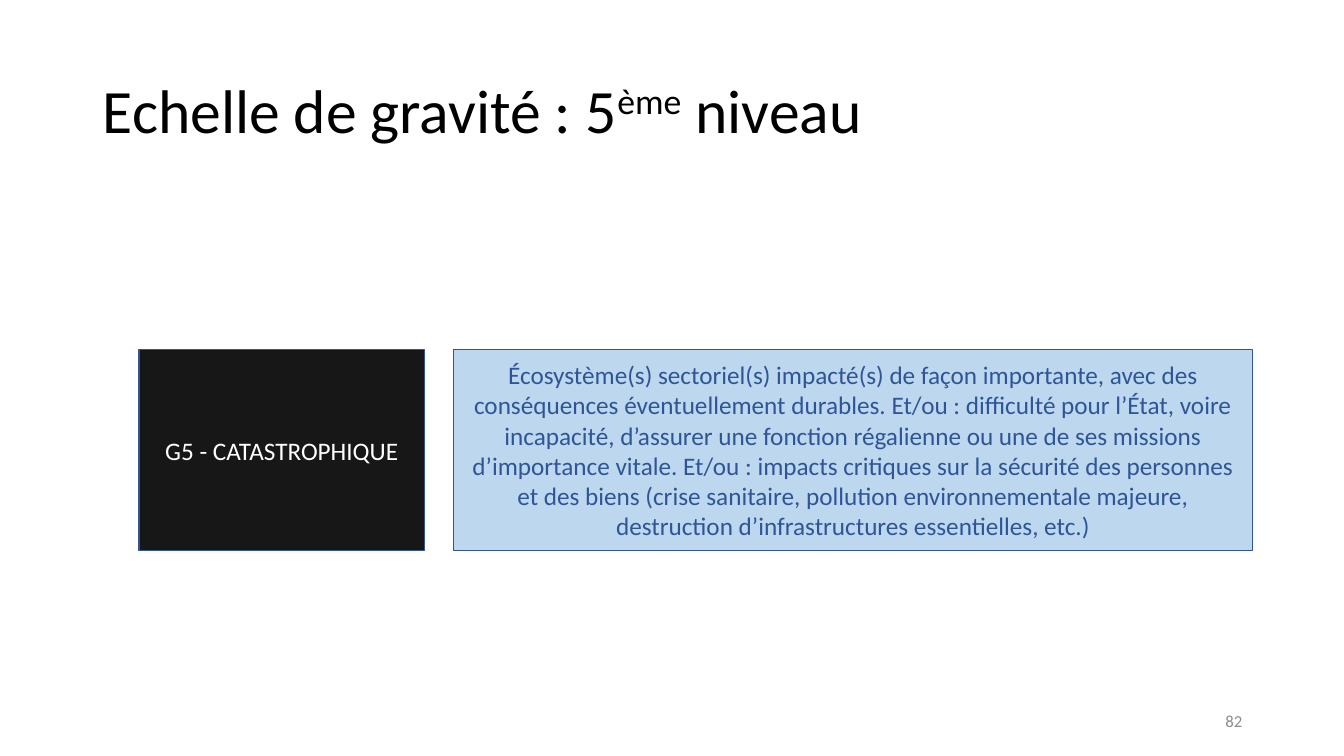
import dataclasses

import pptx
import pptx.dml.color
import pptx.enum.shapes
import pptx.enum.text
import pptx.util

Inches = pptx.util.Inches
Align = pptx.enum.text.PP_ALIGN


@dataclasses.dataclass(frozen=True)
class Theme:
    """Colours, font and type sizes of the slide."""
    font: str = "Calibri"
    title: str = "000000"
    level_fill: str = "181717"
    level_text: str = "FFFFFF"
    impact_fill: str = "BDD7EE"
    impact_text: str = "2F5597"
    outline: str = "325491"
    number: str = "8C8C8C"
    title_size: int = 44
    body_size: int = 18
    number_size: int = 12


THEME = Theme()
IMPACT = (
    "Écosystème(s) sectoriel(s) impacté(s) de façon importante, avec des "
    "conséquences éventuellement durables. Et/ou : difficulté pour l’État, "
    "voire incapacité, d’assurer une fonction régalienne ou une de ses "
    "missions d’importance vitale. Et/ou : impacts critiques sur la sécurité "
    "des personnes et des biens (crise sanitaire, pollution environnementale "
    "majeure, destruction d’infrastructures essentielles, etc.)"
)


def colour(value):
    """Return the colour for a hexadecimal value."""
    return pptx.dml.color.RGBColor.from_string(value)


def add_span(para, text, size, value):
    """Append a formatted run to a paragraph and return it."""
    span = para.add_run()
    span.text = text
    span.font.name = THEME.font
    span.font.size = pptx.util.Pt(size)
    span.font.color.rgb = colour(value)
    return span


def prepare_frame(shape, alignment):
    """Wrap and centre the text vertically, and return its first paragraph."""
    frame = shape.text_frame
    frame.word_wrap = True
    frame.auto_size = pptx.enum.text.MSO_AUTO_SIZE.NONE
    frame.vertical_anchor = pptx.enum.text.MSO_ANCHOR.MIDDLE
    para = frame.paragraphs[0]
    para.alignment = alignment
    return para


def add_title(page, left, top, width, height):
    """Place the title with its raised ordinal ending."""
    title = page.shapes.title
    title.left, title.top = Inches(left), Inches(top)
    title.width, title.height = Inches(width), Inches(height)
    para = prepare_frame(title, Align.LEFT)
    para.line_spacing = 0.9
    for text, baseline in (("Echelle de gravité : 5", 0), ("ème", 30000), (" niveau", 0)):
        span = add_span(para, text, THEME.title_size, THEME.title)
        span.font._element.set("baseline", str(baseline))


def add_panel(page, left, top, width, height, text, fill, text_colour):
    """Draw an outlined rectangle with centred text."""
    panel = page.shapes.add_shape(
        pptx.enum.shapes.MSO_SHAPE.RECTANGLE,
        Inches(left), Inches(top), Inches(width), Inches(height))
    panel.shadow.inherit = False
    panel.fill.solid()
    panel.fill.fore_color.rgb = colour(fill)
    panel.line.color.rgb = colour(THEME.outline)
    panel.line.width = pptx.util.Pt(1)
    add_span(prepare_frame(panel, Align.CENTER), text, THEME.body_size, text_colour)


def add_severity_row(page, left, top, width, height):
    """Place the severity level beside the description of its impact."""
    level_width, gap = 2.83, 0.29
    offset = level_width + gap
    add_panel(page, left, top, level_width, height,
              "G5 - CATASTROPHIQUE", THEME.level_fill, THEME.level_text)
    add_panel(page, left + offset, top, width - offset, height,
              IMPACT, THEME.impact_fill, THEME.impact_text)


def add_page_number(page, left, top, width, height):
    """Place the page number at the right of its box."""
    box = page.shapes.add_textbox(
        Inches(left), Inches(top), Inches(width), Inches(height))
    add_span(prepare_frame(box, Align.RIGHT), "82", THEME.number_size, THEME.number)


def main():
    """Build and save the slide."""
    deck = pptx.Presentation()
    deck.slide_width, deck.slide_height = Inches(13.33), Inches(7.5)
    page = deck.slides.add_slide(deck.slide_layouts.get_by_name("Title Only"))
    add_title(page, 0.92, 0.4, 11.5, 1.45)
    add_severity_row(page, 1.38, 3.47, 11.04, 1.99)
    add_page_number(page, 9.42, 6.95, 3, 0.4)
    deck.save("out.pptx")


if __name__ == "__main__":
    main()
